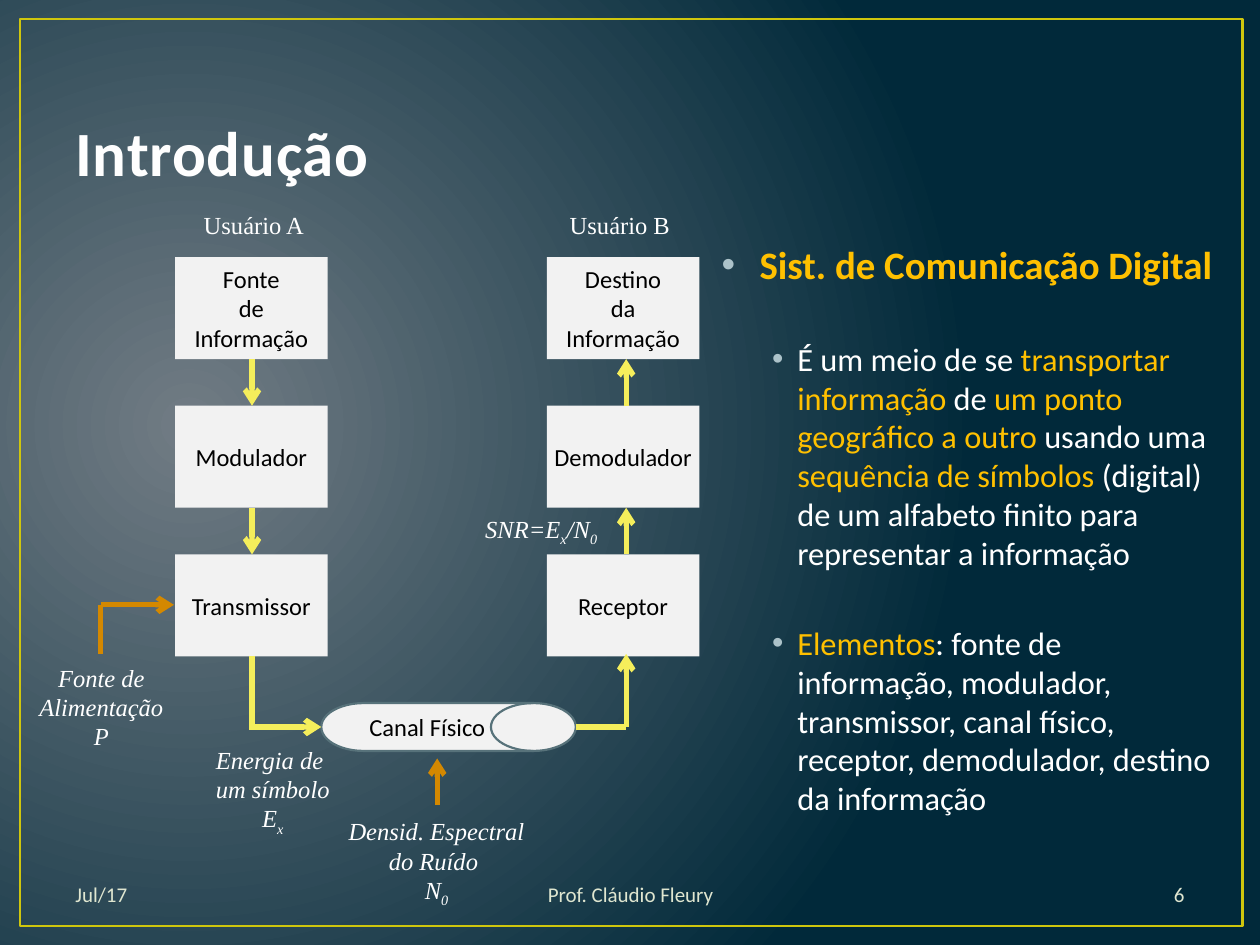
import pptx
import pptx.util
import pptx.dml.color
import pptx.enum.shapes
import pptx.enum.text
import pptx.oxml
import pptx.oxml.ns
from lxml import etree

Inches, Pt = pptx.util.Inches, pptx.util.Pt
Shape = pptx.enum.shapes.MSO_SHAPE
Align = pptx.enum.text.PP_ALIGN
Anchor = pptx.enum.text.MSO_ANCHOR
qn = pptx.oxml.ns.qn

COLORS = {"glow": "717C84", "navy": "01293A", "frame": "CFC60D", "title": "FEFEFE",
          "white": "FFFFFF", "gold": "FFC000", "bullet": "ACC2C9", "foot": "DFE6D0",
          "box": "F2F2F2", "black": "000000", "edge": "57727A",
          "yellow": "F5EE5B", "orange": "D48800"}
SANS, SERIF = "Calibri", "Times New Roman"

# Content: *gold* words in the body, _subscripts_ in the labels
TITLE = "Introdução"
# text, size, bold, left indent, hanging, space before
BODY = [
    ("*Sist. de Comunicação Digital*", 22.2, True, 0.3, 0.3, 0),
    ("É um meio de se *transportar informação *de *um ponto geográfico a outro *usando uma "
     "*sequência de símbolos *(digital) de um alfabeto finito para representar a informação",
     18.5, False, 0.6, 0.2, 29.5),
    ("*Elementos*: fonte de informação, modulador, transmissor, canal físico, "
     "receptor, demodulador, destino da informação", 18.5, False, 0.6, 0.2, 29),
]
FOOT = [("Jul/17", 0.5, 2.33, Align.LEFT), ("Prof. Cláudio Fleury", 3.1, 3.81, Align.CENTER),
        ("6", 7.17, 2.33, Align.RIGHT)]
STAGES = [  # left edge, boxes from top to bottom
    (1.39, ["Fonte\nde\nInformação", "Modulador", "Transmissor"]),
    (4.34, ["Destino\nda\nInformação", "Demodulador", "Receptor"]),
]
LABELS = [  # text, left, top, width, height, italic
    ("Usuário A", 1.51, 1.62, 1.01, 0.34, False),
    ("Usuário B", 4.42, 1.62, 1, 0.34, False),
    ("Energia de \num símbolo\nE_x_", 1.61, 5.86, 1.11, 0.81, True),
    ("SNR=E_x_/_N_0_", 3.74, 4.03, 1.11, 0.34, True),
    ("Fonte de\nAlimentação\nP", 0.21, 5.21, 1.19, 0.81, True),
    ("Densid. Espectral\ndo Ruído \nN_0_", 2.66, 6.43, 1.61, 0.81, True),
]
LABELS[3] = ("SNR=E_x_/N_0_",) + LABELS[3][1:]

TOP, STEP, WIDE, HIGH = 2.04, 1.18, 1.21, 0.81
DOWN, UP, PIPE = 2, 4.97, 5.77  # x of both signal paths, y of the channel
LINKS = [  # x1, y1, x2, y2, colour, arrowhead
    (DOWN, 5.21, DOWN, PIPE, "yellow", False),
    (1.98, PIPE, 2.55, PIPE, "yellow", True),
    (4.57, PIPE, UP, PIPE, "yellow", False),
    (UP, PIPE, UP, 5.19, "yellow", True),
    (0.8, 5.19, 0.8, 4.8, "orange", False),
    (0.8, 4.8, 1.38, 4.8, "orange", True),
    (3.47, 6.39, 3.47, 6.02, "orange", True),
]
for row in range(2):
    low = TOP + row * STEP + HIGH
    high = TOP + (row + 1) * STEP
    LINKS += [(DOWN, low, DOWN, high, "yellow", True), (UP, high, UP, low, "yellow", True)]


def rgb(name):
    return pptx.dml.color.RGBColor.from_string(COLORS[name])


def style(font, size, color, face=SANS, bold=False, italic=False):
    font.size, font.name, font.bold, font.italic = Pt(size), face, bold, italic
    font.color.rgb = rgb(color)


def add_text(left, top, width, height, wrap=True, anchor=Anchor.TOP):
    box = slide.shapes.add_textbox(Inches(left), Inches(top), Inches(width), Inches(height))
    frame = box.text_frame
    frame.word_wrap, frame.vertical_anchor = wrap, anchor
    return frame


def write(frame, text, size, color, align=Align.LEFT, **look):
    frame.text = text
    for para in frame.paragraphs:
        para.alignment = align
        for run in para.runs:
            style(run.font, size, color, **look)


def add_shape(kind, left, top, width, height, fill=None, line=None, weight=1):
    shape = slide.shapes.add_shape(kind, Inches(left), Inches(top), Inches(width), Inches(height))
    shape.shadow.inherit = False
    if fill:
        shape.fill.solid()
        shape.fill.fore_color.rgb = rgb(fill)
    else:
        shape.fill.background()
    if line:
        shape.line.color.rgb = rgb(line)
        shape.line.width = Pt(weight)
    else:
        shape.line.fill.background()
    return shape


def add_node(kind, text, *place, **edge):
    frame = add_shape(kind, *place, fill="box", **edge).text_frame
    frame.vertical_anchor = Anchor.MIDDLE
    frame.margin_left = frame.margin_right = 0
    write(frame, text, 14, "black", Align.CENTER)


def add_link(x1, y1, x2, y2, color, arrow):
    link = slide.shapes.add_connector(pptx.enum.shapes.MSO_CONNECTOR.STRAIGHT,
                                      Inches(x1), Inches(y1), Inches(x2), Inches(y2))
    link.line.color.rgb = rgb(color)
    link.line.width = Pt(3)
    props = link._element.spPr
    if arrow:
        etree.SubElement(props.find(qn("a:ln")), qn("a:tailEnd"), type="arrow")
    etree.SubElement(props, qn("a:effectLst"))


deck = pptx.Presentation()
deck.slide_width, deck.slide_height = Inches(10), Inches(7.5)
slide = deck.slides.add_slide(deck.slide_layouts[6])

# Background: radial glow from the left
fill = slide.background.fill
fill.gradient()
for stop, name, pos in zip(fill.gradient_stops, ("glow", "navy"), (0, 1)):
    stop.color.rgb = rgb(name)
    stop.position = pos
grad = slide._element.find(".//" + qn("a:gradFill"))
glow = etree.Element(qn("a:path"), path="circle")
etree.SubElement(glow, qn("a:fillToRect"), l="15000", t="50000", r="85000", b="60000")
grad.replace(grad.find(qn("a:lin")), glow)

# Frame, title and footer
add_shape(Shape.RECTANGLE, 0.16, 0.15, 9.7, 7.2, line="frame", weight=1.5)
head = add_text(0.5, 0.3, 9, 1.25, anchor=Anchor.BOTTOM)
write(head, TITLE, 36, "title", bold=True)
head.paragraphs[0].runs[0]._r.get_or_add_rPr().set("spc", "50")
for text, left, width, align in FOOT:
    write(add_text(left, 6.9, width, 0.4, anchor=Anchor.MIDDLE), text, 12, "foot", align)

# Body text
body = add_text(5.63, 1.86, 4.17, 4.8)
for num, (text, size, bold, left, hang, gap) in enumerate(BODY):
    para = body.add_paragraph() if num else body.paragraphs[0]
    para.space_before = Pt(gap)
    props = para._p.get_or_add_pPr()
    props.set("marL", str(Inches(left)))
    props.set("indent", str(-Inches(hang)))
    tint = etree.SubElement(props, qn("a:buClr"))
    etree.SubElement(tint, qn("a:srgbClr"), val=COLORS["bullet"])
    etree.SubElement(props, qn("a:buFont"), typeface="Arial")
    etree.SubElement(props, qn("a:buChar"), char="•")
    for part, words in enumerate(text.split("*")):
        if words:
            run = para.add_run()
            run.text = words
            style(run.font, size, "gold" if part % 2 else "white", bold=bold)

# Block diagram
for left, names in STAGES:
    for row, name in enumerate(names):
        add_node(Shape.RECTANGLE, name, left, TOP + row * STEP, WIDE, HIGH)
add_node(Shape.FLOWCHART_DIRECT_ACCESS_STORAGE, "Canal Físico", 2.55, 5.58, 2.02, 0.38,
         line="edge", weight=1.25)
for link in LINKS:
    add_link(*link)

# Labels
for text, left, top, width, height, italic in LABELS:
    frame = add_text(left, top, width, height, wrap=False)
    for num, line in enumerate(text.split("\n")):
        para = frame.add_paragraph() if num else frame.paragraphs[0]
        para.alignment = Align.CENTER
        for part, words in enumerate(line.split("_")):
            if words:
                run = para.add_run()
                run.text = words
                style(run.font, 14, "white", SERIF, italic=italic)
                if part % 2:
                    run._r.get_or_add_rPr().set("baseline", "-25000")

deck.save("out.pptx")
